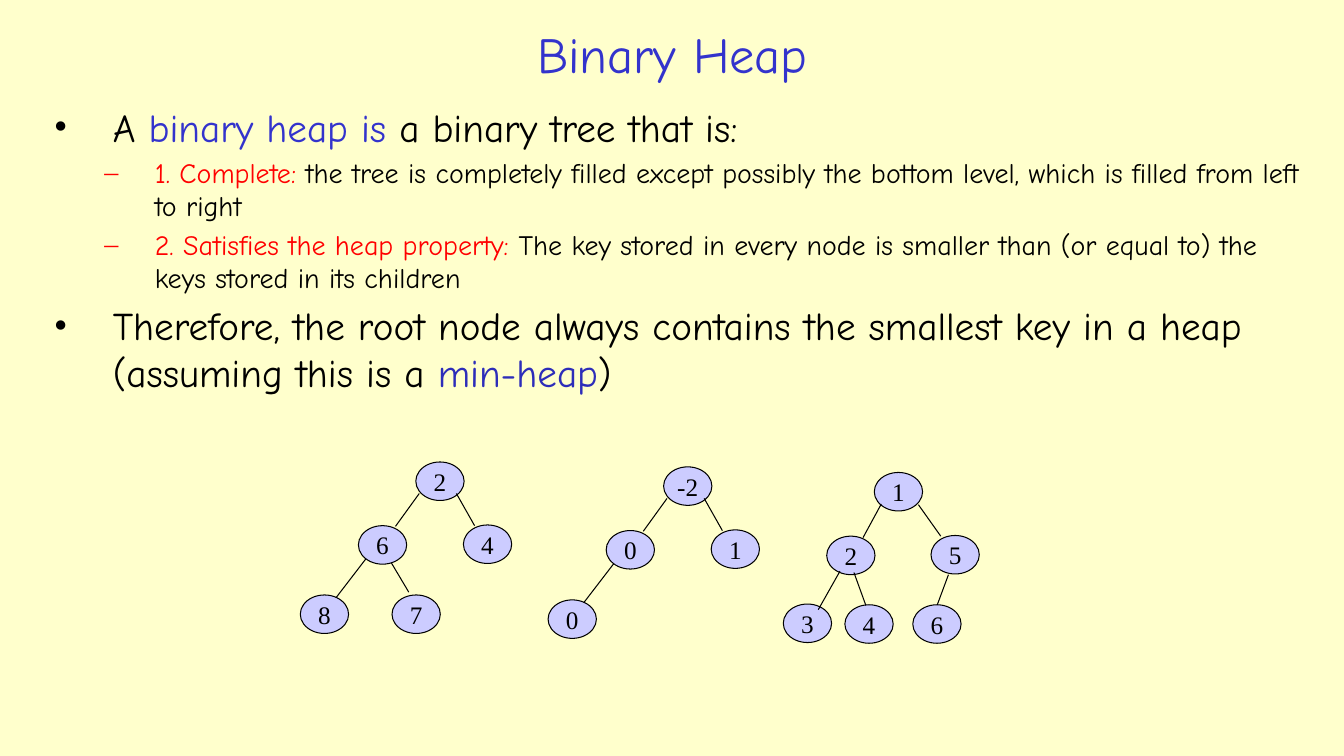
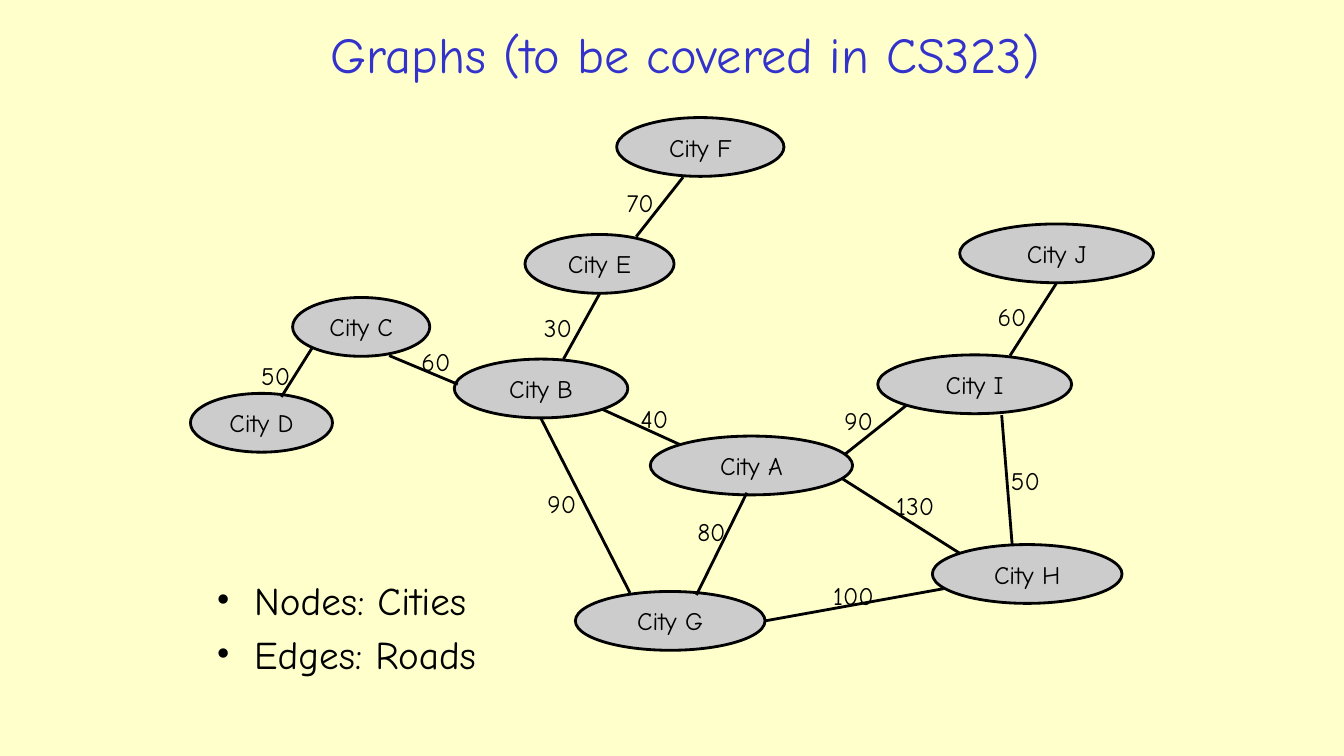
"""Build two slides on binary heaps and graphs."""
from lxml import etree
from pptx import Presentation
from pptx.dml.color import RGBColor
from pptx.enum import shapes, text
from pptx.oxml import ns
from pptx.util import Pt

COLORS = {"paper": "FFFFCC", "title": "3333CC", "ink": "000000", "alert": "FF0000",
          "accent": "2D2DB9", "heap": "CCCCFF", "city": "CCCCCC"}
HAND, SERIF = "Comic Neue", "Times New Roman"
CENTER, LEFT = text.PP_ALIGN.CENTER, text.PP_ALIGN.LEFT


def add_text(s, at, paras, size, font=HAND, align=CENTER, fill=None, weight=0, wrap=False):
    """Add a text box, or an ellipse if a fill is given; a paragraph is (bullet, indents, size, runs)."""
    at = [Pt(v) for v in at]
    if fill:
        sp = s.shapes.add_shape(shapes.MSO_SHAPE.OVAL, *at)
        sp.shadow.inherit = False
        sp.fill.solid()
        sp.fill.fore_color.rgb = RGBColor.from_string(COLORS[fill])
        sp.line.color.rgb = RGBColor.from_string(COLORS["ink"])
        sp.line.width = Pt(weight)
    else:
        sp = s.shapes.add_textbox(*at)
    tf = sp.text_frame
    tf.word_wrap = wrap
    tf.vertical_anchor = text.MSO_ANCHOR.MIDDLE if align == CENTER else text.MSO_ANCHOR.TOP
    for i, (bullet, indents, para_size, runs) in enumerate(paras):
        p = tf.paragraphs[0] if i == 0 else tf.add_paragraph()
        p.alignment = align
        if i:
            p.space_before = Pt(para_size * 0.18)
        if bullet:
            pPr = p._p.get_or_add_pPr()
            pPr.set("marL", str(Pt(indents[0])))
            pPr.set("indent", str(Pt(-indents[1])))
            etree.SubElement(pPr, ns.qn("a:buFont")).set("typeface", SERIF)
            etree.SubElement(pPr, ns.qn("a:buChar")).set("char", bullet)
        for words, color in runs:
            r = p.add_run()
            r.text = words
            r.font.name = font
            r.font.size = Pt(para_size or size)
            r.font.color.rgb = RGBColor.from_string(COLORS[color])


def add_line(s, ends, weight):
    """Draw a plain straight line between two points."""
    cxn = s.shapes.add_connector(shapes.MSO_CONNECTOR.STRAIGHT, *[Pt(v) for v in ends])
    cxn.line.color.rgb = RGBColor.from_string(COLORS["ink"])
    cxn.line.width = Pt(weight)
    etree.SubElement(cxn._element.spPr, ns.qn("a:effectLst"))


prs = Presentation()
prs.slide_width, prs.slide_height = Pt(960), Pt(540)
bg = prs.slide_master.background.fill
bg.solid()
bg.fore_color.rgb = RGBColor.from_string(COLORS["paper"])

titles = [("Binary Heap", 126, 708.5), ("Graphs (to be covered in CS323)", 159, 661)]
for title, x, w in titles:
    s = prs.slides.add_slide(prs.slide_layouts[6])
    add_text(s, (x, 11, w, 54.5), [(None, None, 0, [(title, "title")])], 36)
heap_slide, graph_slide = prs.slides

outer, inner = (42, 42), (72, 36)
body = [
    ("•", outer, 28, [("A ", "ink"), ("binary heap is", "title"),
                      (" a binary tree that is:", "ink")]),
    ("–", inner, 20, [("1. Complete: ", "alert"),
                      ("the tree is completely filled except possibly the bottom level, "
                       "which is filled from left to right", "ink")]),
    ("–", inner, 20, [("2. Satisfies the heap property: ", "alert"),
                      ("The key stored in every node is smaller than (or equal to) "
                       "the keys stored in its children", "ink")]),
    ("•", outer, 28, [("Therefore, the root node always contains the smallest key in a heap "
                       "(assuming this is a ", "ink"), ("min-heap", "accent"), (")", "ink")]),
]
add_text(heap_slide, (31.5, 70, 905, 228), body, 28, align=LEFT, wrap=True)

wide_nodes = [(0, 0), (-41, 45.5), (34, 45), (-82.5, 95), (-17, 95)]
wide_edges = [(2.5, 22.5, -14.5, 46), (29, 22.5, 42, 45.5),
              (-35.5, 69, -57, 97), (-17.5, 72, -5, 93)]
full_nodes = [(0, 0), (-34, 45.5), (40.5, 45), (-65, 94), (-21, 94.5), (27.5, 94.5)]
full_edges = [(5, 22.5, -8, 46.5), (31.5, 23, 47.5, 45.5), (-24.5, 70.5, -40, 98),
              (-14.5, 71.5, -6, 95), (53, 73, 45, 94.5)]
heaps = [
    (297, 330, ["2", "6", "4", "8", "7"], wide_nodes, wide_edges),
    (474, 333.5, ["-2", "0", "1", "0"], wide_nodes, wide_edges),
    (624.5, 337.5, ["1", "2", "5", "3", "4", "6"], full_nodes, full_edges),
]
for x, y, keys, nodes, edges in heaps:
    for key, (dx, dy) in zip(keys, nodes):
        add_text(heap_slide, (x + dx, y + dy, 34.5, 27.5), [(None, None, 0, [(key, "ink")])],
                 18, SERIF, fill="heap", weight=0.75)
    for x1, y1, x2, y2 in edges[:len(keys) - 1]:
        add_line(heap_slide, (x + x1, y + y1, x + x2, y + y2), 0.75)

cities = [
    ("A", 464.5, 311.5, 144.5), ("B", 324.5, 256.5, 124), ("C", 209, 212.5, 98),
    ("D", 136, 281, 101.5), ("E", 375, 167.5, 106.5), ("F", 440.5, 84, 119.5),
    ("G", 411, 422.5, 135.5), ("H", 666, 389, 135.5), ("I", 627, 253.5, 138.5),
    ("J", 685.5, 160, 138.5),
]
for name, x, y, w in cities:
    add_text(graph_slide, (x, y, w, 42), [(None, None, 0, [("City " + name, "ink")])],
             18, fill="city", weight=2)

roads = [
    ("40", (430.5, 292.5, 485.5, 317.5), (450.5, 284.5)),
    ("90", (603.5, 324.5, 647.5, 289.5), (596, 286)),
    ("30", (402.5, 256.5, 428.5, 209.5), (381.5, 219.5)),
    ("70", (454.5, 169, 488, 126.5), (440.5, 130.5)),
    ("60", (278, 254, 327, 274.5), (294, 243.5)),
    ("80", (497.5, 425, 533.5, 352), (491, 365)),
    ("100", (546.5, 443.5, 674, 420.5), (588, 411)),
    ("130", (601, 341.5, 686, 395.5), (633, 346.5)),
    ("50", (715.5, 296.5, 723, 389), (715, 328.5)),
    ("60", (721.5, 254, 754.5, 202.5), (705.5, 211.5)),
    ("90", (386.5, 299, 450, 423.5), (384, 345.5)),
    ("50", (223, 248.5, 201, 283.5), (179.5, 253.5)),
]
for distance, ends, (x, y) in roads:
    add_line(graph_slide, ends, 2)
    add_text(graph_slide, (x, y, 20.5 + 8 * len(distance), 29),
             [(None, None, 0, [(distance, "ink")])], 18, align=LEFT)

legend = [("•", (27, 27), 28, [(words, "ink")]) for words in ("Nodes: Cities", "Edges: Roads")]
add_text(graph_slide, (147.5, 408, 222, 98), legend, 28, align=LEFT, wrap=True)

prs.save("out.pptx")
